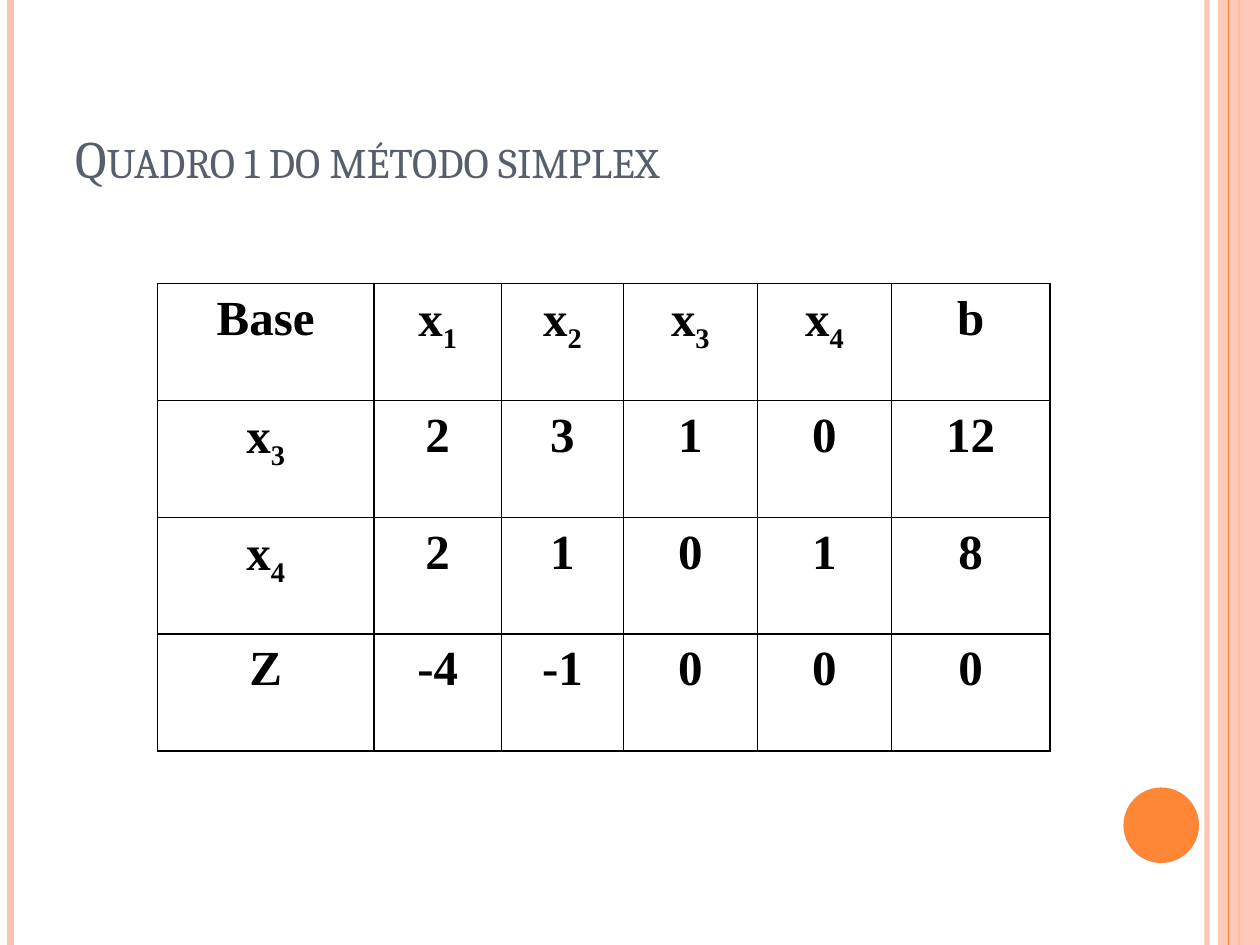
from typing import NamedTuple

from lxml.etree import SubElement
from pptx import Presentation
from pptx.dml.color import RGBColor
from pptx.enum.shapes import MSO_CONNECTOR, MSO_SHAPE
from pptx.enum.text import MSO_ANCHOR, PP_ALIGN
from pptx.oxml.ns import qn
from pptx.shapes.autoshape import Shape
from pptx.slide import Slide
from pptx.table import _Cell as Cell
from pptx.util import Pt

PEACH = RGBColor(0xFE, 0xC3, 0xAE)
ORANGE = RGBColor(0xFE, 0x86, 0x37)
SLATE = RGBColor(0x57, 0x5F, 0x6D)
BLACK = RGBColor(0, 0, 0)

WIDTH, HEIGHT = 720, 540
COL_WIDTHS = (123.6, 73, 69.6, 76.6, 76.6, 90.6)
ROW_HEIGHT = 66.8
TABLEAU = (
    ("Base", "x1", "x2", "x3", "x4", "b"),
    ("x3", "2", "3", "1", "0", "12"),
    ("x4", "2", "1", "0", "1", "8"),
    ("Z", "-4", "-1", "0", "0", "0"),
)


class Stripe(NamedTuple):
    x: float
    weight: float
    color: RGBColor
    opacity: int = 100


class Block(NamedTuple):
    kind: MSO_SHAPE
    x: float
    y: float
    w: float
    h: float
    color: RGBColor
    opacity: int = 100


BACKDROP = (
    Stripe(689.8, 3, PEACH, 93),
    Stripe(6, 4.5, PEACH),
    Stripe(708, 1.5, ORANGE),
    Block(MSO_SHAPE.RECTANGLE, 696, 0, 24, HEIGHT, PEACH, 87),
    Stripe(702, 0.75, ORANGE),
    Block(MSO_SHAPE.OVAL, 642, 450, 43.2, 43.2, ORANGE),
)


def set_opacity(sp_pr, opacity: int) -> None:
    if opacity < 100:
        color = next(sp_pr.iter(qn("a:srgbClr")))
        SubElement(color, qn("a:alpha"), val=str(opacity * 1000))


def draw_stripe(s: Slide, stripe: Stripe) -> None:
    x = Pt(stripe.x)
    line = s.shapes.add_connector(MSO_CONNECTOR.STRAIGHT, x, 0, x, Pt(HEIGHT))
    line.line.color.rgb = stripe.color
    line.line.width = Pt(stripe.weight)
    sp_pr = line._element.spPr
    set_opacity(sp_pr, stripe.opacity)
    SubElement(sp_pr, qn("a:effectLst"))


def draw_block(s: Slide, block: Block) -> None:
    sp = s.shapes.add_shape(block.kind, Pt(block.x), Pt(block.y), Pt(block.w), Pt(block.h))
    sp.shadow.inherit = False
    sp.fill.solid()
    sp.fill.fore_color.rgb = block.color
    sp.line.fill.background()
    set_opacity(sp._element.spPr, block.opacity)


def draw_title(s: Slide, text: str) -> Shape:
    sp = s.shapes.add_textbox(Pt(36), Pt(21.6), Pt(588), Pt(90))
    tf = sp.text_frame
    tf.word_wrap = True
    tf.vertical_anchor = MSO_ANCHOR.BOTTOM
    p = tf.paragraphs[0]
    r = p.add_run()
    r.text = text
    p.font.name, p.font.size = "Cambria", Pt(30)
    p.font.color.rgb = SLATE
    r._r.get_or_add_rPr().set("cap", "small")
    return sp


def set_borders(cell: Cell) -> None:
    tc_pr = cell._tc.get_or_add_tcPr()
    for side in ("lnL", "lnR", "lnT", "lnB"):
        ln = SubElement(tc_pr, qn(f"a:{side}"), w=str(Pt(1)))
        fill = SubElement(ln, qn("a:solidFill"))
        SubElement(fill, qn("a:srgbClr"), val=str(BLACK))


def fill_cell(cell: Cell, text: str) -> None:
    set_borders(cell)
    cell.fill.background()
    cell.margin_left = cell.margin_right = Pt(5)
    cell.margin_top = cell.margin_bottom = 0
    p = cell.text_frame.paragraphs[0]
    p.alignment = PP_ALIGN.CENTER
    p.line_spacing = 1.15
    p.space_after = Pt(10)
    p.font.name, p.font.size, p.font.bold = "Times New Roman", Pt(28), True
    p.font.color.rgb = BLACK
    if text.startswith("x"):
        p.add_run().text = "x"
        r = p.add_run()
        r.text = text[1:]
        r._r.get_or_add_rPr().set("baseline", "-25000")
    else:
        p.add_run().text = text


def draw_tableau(s: Slide) -> None:
    rows, cols = len(TABLEAU), len(COL_WIDTHS)
    table = s.shapes.add_table(
        rows, cols, Pt(90), Pt(162), Pt(sum(COL_WIDTHS)), Pt(rows * ROW_HEIGHT)
    ).table
    table.first_row = table.horz_banding = False
    for column, width in zip(table.columns, COL_WIDTHS):
        column.width = Pt(width)
    for row, values in zip(table.rows, TABLEAU):
        row.height = Pt(ROW_HEIGHT)
        for cell, text in zip(row.cells, values):
            fill_cell(cell, text)


def main() -> None:
    prs = Presentation()
    prs.slide_width, prs.slide_height = Pt(WIDTH), Pt(HEIGHT)
    s = prs.slides.add_slide(prs.slide_layouts[6])
    for item in BACKDROP:
        if isinstance(item, Stripe):
            draw_stripe(s, item)
        else:
            draw_block(s, item)
    draw_title(s, "Quadro 1 do método simplex")
    draw_tableau(s)
    prs.save("out.pptx")


if __name__ == "__main__":
    main()
